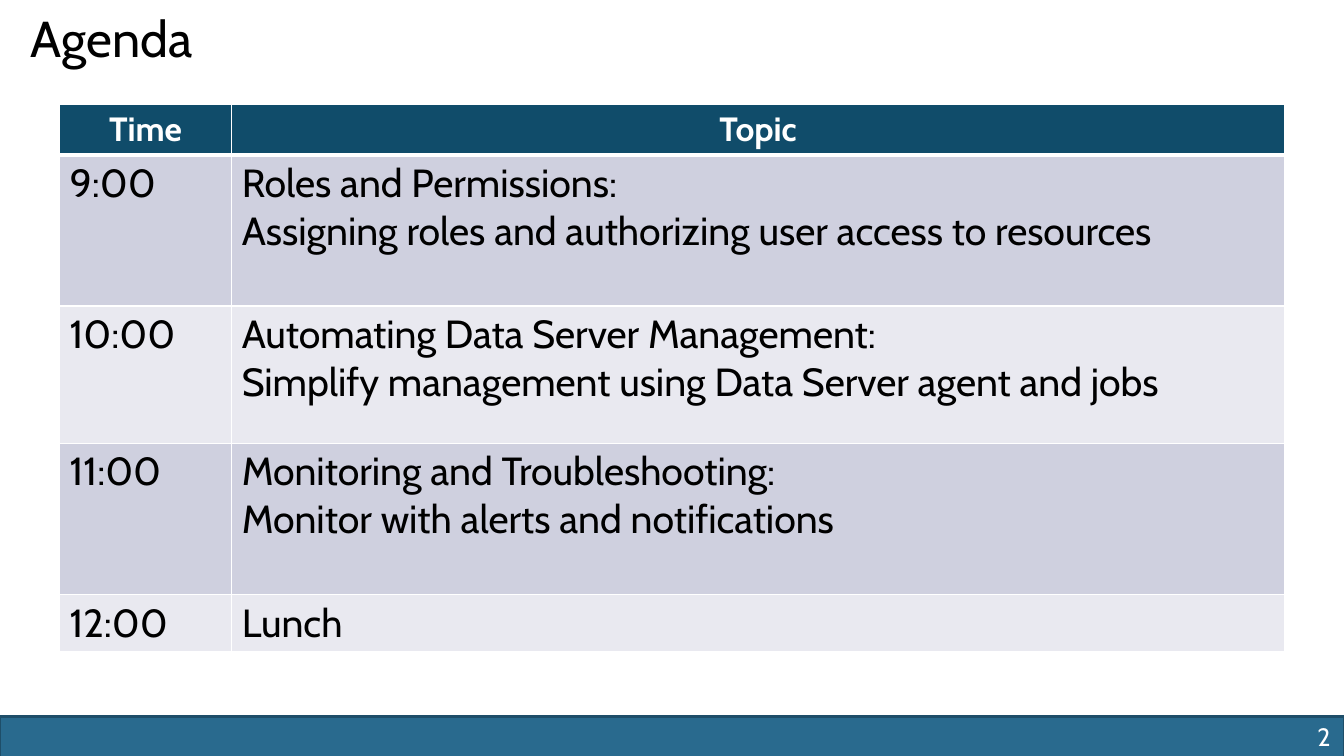
from lxml import etree
from pptx import Presentation
from pptx.dml.color import RGBColor
from pptx.enum.shapes import MSO_SHAPE
from pptx.enum.text import MSO_ANCHOR, PP_ALIGN
from pptx.oxml.ns import qn
from pptx.util import Pt

RECTANGLE = MSO_SHAPE.RECTANGLE
TOP, MIDDLE = MSO_ANCHOR.TOP, MSO_ANCHOR.MIDDLE
LEFT, CENTER, RIGHT = PP_ALIGN.LEFT, PP_ALIGN.CENTER, PP_ALIGN.RIGHT

WHITE = RGBColor(0xFF, 0xFF, 0xFF)
BLACK = RGBColor(0, 0, 0)
BAR_BLUE = RGBColor(0x29, 0x6A, 0x8E)
BAR_EDGE = RGBColor(0x1E, 0x4E, 0x69)
HEADER_BLUE = RGBColor(0x10, 0x4C, 0x6A)
ROW_BANDS = (RGBColor(0xCF, 0xD0, 0xDF), RGBColor(0xE9, 0xE9, 0xF0))

FONT_NAME = "Cabin"
SLIDE_WIDTH, SLIDE_HEIGHT = 960, 540
TITLE_FORMAT = {"size": Pt(36), "bold": False, "color": BLACK}
HEADER_FORMAT = {"size": Pt(24), "bold": True, "color": WHITE}
BODY_FORMAT = {"size": Pt(28), "bold": False, "color": BLACK}
NUMBER_FORMAT = {"size": Pt(18), "bold": False, "color": WHITE}

COLUMN_WIDTHS = (123, 752)
ROW_HEIGHTS = (36, 108, 98, 108, 41)
AGENDA = (
    ("Time", ["Topic"]),
    ("9:00", ["Roles and Permissions:",
              "Assigning roles and authorizing user access to resources"]),
    ("10:00", ["Automating Data Server Management:",
               "Simplify management using Data Server agent and jobs"]),
    ("11:00", ["Monitoring and Troubleshooting:",
               "Monitor with alerts and notifications"]),
    ("12:00", ["Lunch"]),
)


def write_lines(text_frame, lines, text_format, alignment=LEFT, line_spacing=None):
    """Fill a text frame with one formatted paragraph per line."""
    for index, line in enumerate(lines):
        paragraph = text_frame.paragraphs[0] if index == 0 else text_frame.add_paragraph()
        paragraph.alignment = alignment
        paragraph.line_spacing = line_spacing
        run = paragraph.add_run()
        run.text = line
        run.font.name = FONT_NAME
        for name, value in text_format.items():
            if name == "color":
                run.font.color.rgb = value
            else:
                setattr(run.font, name, value)


def add_label(slide, box, text, text_format, alignment, anchor, line_spacing=None):
    """Place a one-line text box in the given box."""
    text_frame = slide.shapes.add_textbox(*map(Pt, box)).text_frame
    text_frame.word_wrap = True
    text_frame.vertical_anchor = anchor
    write_lines(text_frame, [text], text_format, alignment, line_spacing)


def set_borders(cell, widths):
    """Draw white borders of the given widths around a table cell."""
    properties = cell._tc.get_or_add_tcPr()
    for index, (tag, width) in enumerate(widths.items()):
        line = etree.Element(qn(tag), w=str(Pt(width)))
        fill = etree.SubElement(line, qn("a:solidFill"))
        etree.SubElement(fill, qn("a:srgbClr"), val=str(WHITE))
        properties.insert(index, line)


def add_agenda(slide, box):
    """Build the agenda table with its header and banded rows."""
    table = slide.shapes.add_table(len(AGENDA), len(COLUMN_WIDTHS), *map(Pt, box)).table
    for column, width in zip(table.columns, COLUMN_WIDTHS):
        column.width = Pt(width)
    for index, (time, topic) in enumerate(AGENDA):
        table.rows[index].height = Pt(ROW_HEIGHTS[index])
        is_header = index == 0
        widths = {"a:lnL": 1, "a:lnR": 1,
                  "a:lnT": 3 if index == 1 else 1, "a:lnB": 3 if is_header else 1}
        for cell, lines in zip(table.rows[index].cells, ([time], topic)):
            cell.fill.solid()
            cell.fill.fore_color.rgb = HEADER_BLUE if is_header else ROW_BANDS[(index - 1) % 2]
            set_borders(cell, widths)
            write_lines(cell.text_frame, lines,
                        HEADER_FORMAT if is_header else BODY_FORMAT,
                        CENTER if is_header else LEFT)


def add_footer(slide, box, number):
    """Draw the footer bar with the slide number at its right end."""
    left, top, width, height = box
    bar = slide.shapes.add_shape(RECTANGLE, *map(Pt, box))
    bar.shadow.inherit = False
    bar.fill.solid()
    bar.fill.fore_color.rgb = BAR_BLUE
    bar.line.color.rgb = BAR_EDGE
    bar.line.width = Pt(2)
    number_width = 56
    number_box = (left + width - number_width - 2.4, top, number_width, height)
    add_label(slide, number_box, number, NUMBER_FORMAT, RIGHT, MIDDLE)


def main():
    """Create the agenda slide and save it."""
    presentation = Presentation()
    presentation.slide_width = Pt(SLIDE_WIDTH)
    presentation.slide_height = Pt(SLIDE_HEIGHT)
    slide = presentation.slides.add_slide(presentation.slide_layouts[6])
    add_footer(slide, (0, 512, SLIDE_WIDTH, 28.8), "2")
    add_agenda(slide, (42.5, 74.5, sum(COLUMN_WIDTHS), sum(ROW_HEIGHTS)))
    add_label(slide, (15, 9.4, 864, 90), "Agenda", TITLE_FORMAT, LEFT, TOP, Pt(35))
    presentation.save("out.pptx")


if __name__ == "__main__":
    main()
